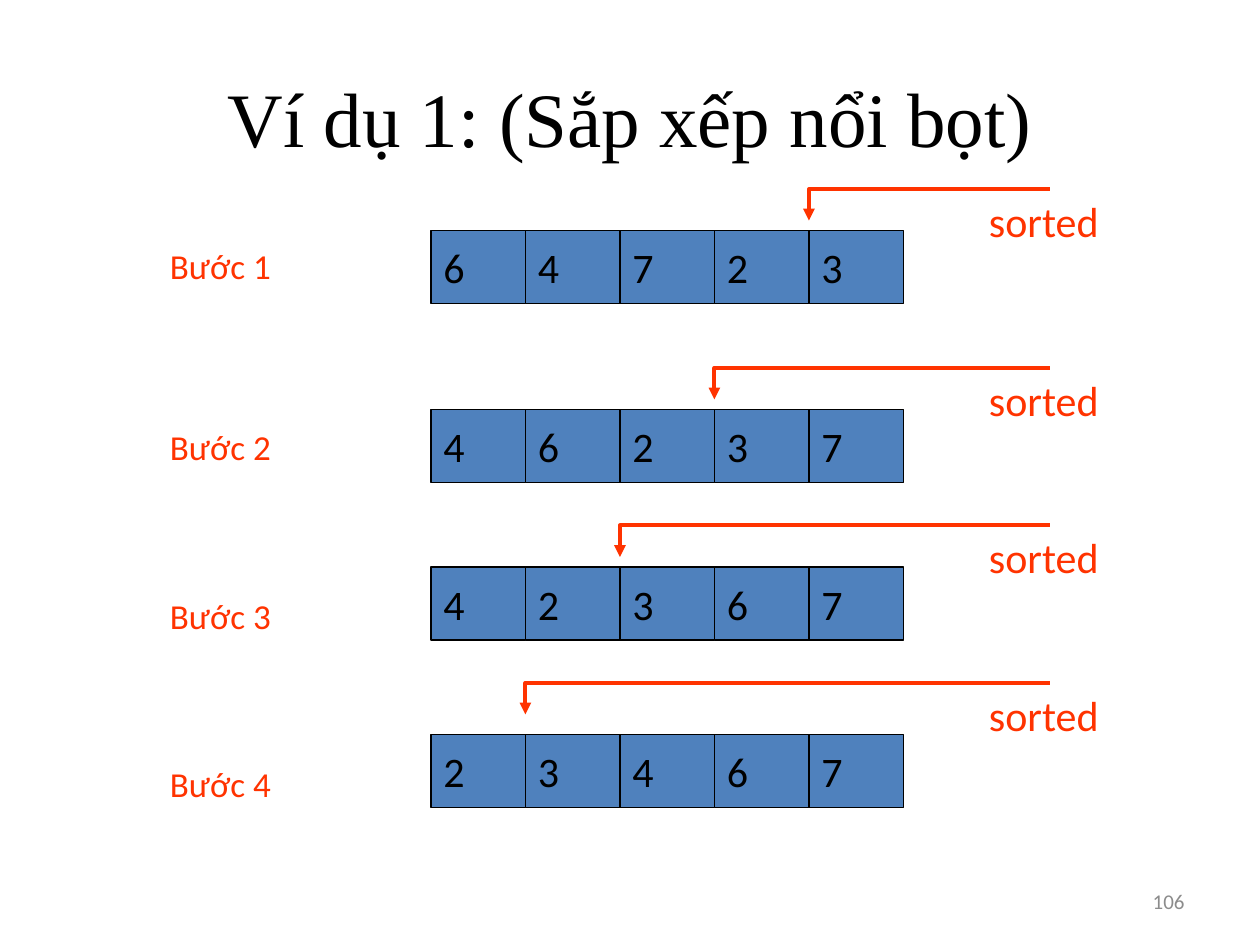
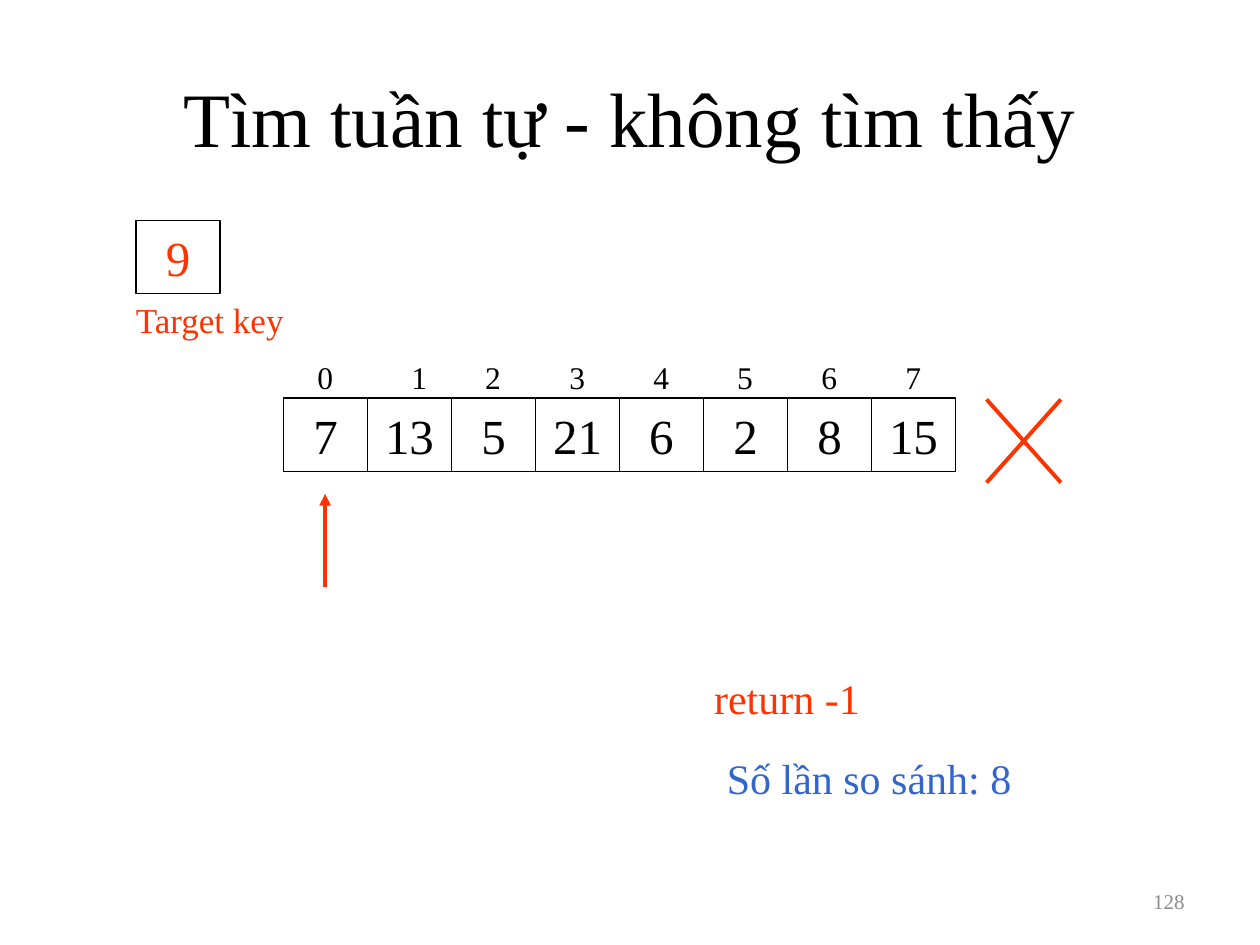
from pptx import Presentation
from pptx.dml.color import RGBColor
from pptx.enum.shapes import MSO_CONNECTOR, MSO_SHAPE
from pptx.enum.text import MSO_ANCHOR, PP_ALIGN
from pptx.oxml.ns import qn
from pptx.util import Inches, Pt
from lxml.etree import SubElement

BLACK = RGBColor(0x00, 0x00, 0x00)
RED = RGBColor(0xFF, 0x33, 0x00)
BLUE = RGBColor(0x33, 0x66, 0xCC)
CELL_BLUE = RGBColor(0x4F, 0x81, 0xBD)
GREY = RGBColor(0x8C, 0x8C, 0x8C)
SANS = "Calibri"
SERIF = "Times New Roman"
CELL_H = 0.58


def write(tf, text, size=24, font=SERIF, color=BLACK, align=PP_ALIGN.LEFT,
          anchor=MSO_ANCHOR.TOP, wrap=False):
    tf.word_wrap = wrap
    tf.vertical_anchor = anchor
    p = tf.paragraphs[0]
    p.alignment = align
    r = p.add_run()
    r.text = text
    r.font.size = Pt(size)
    r.font.name = font
    r.font.color.rgb = color


class Deck:
    def __init__(self):
        self.prs = Presentation()
        self.prs.slide_width, self.prs.slide_height = Inches(10), Inches(7.5)
        self.font = SERIF
        self.s = None

    def slide(self, title, number, font):
        self.font = font
        self.s = self.prs.slides.add_slide(self.prs.slide_layouts[5])
        sp = self.s.shapes.title
        sp.left, sp.top = Inches(0.5), Inches(0.3)
        sp.width, sp.height = Inches(9), Inches(1.25)
        write(sp.text_frame, title, size=44, align=PP_ALIGN.CENTER,
              anchor=MSO_ANCHOR.MIDDLE, wrap=True)
        self.text(str(number), 7.17, 6.95, 2.33, 0.4, size=12, color=GREY,
                  align=PP_ALIGN.RIGHT, anchor=MSO_ANCHOR.MIDDLE, wrap=True)

    def text(self, text, x, y, w, h, **fmt):
        sp = self.s.shapes.add_textbox(Inches(x), Inches(y), Inches(w), Inches(h))
        write(sp.text_frame, text, font=self.font, **fmt)

    def cell(self, text, x, y, w, fill=None, **fmt):
        sp = self.s.shapes.add_shape(MSO_SHAPE.RECTANGLE, Inches(x), Inches(y),
                                     Inches(w), Inches(CELL_H))
        sp.shadow.inherit = False
        if fill is None:
            sp.fill.background()
        else:
            sp.fill.solid()
            sp.fill.fore_color.rgb = fill
        sp.line.color.rgb = BLACK
        sp.line.width = Pt(0.75)
        write(sp.text_frame, str(text), font=self.font,
              anchor=MSO_ANCHOR.MIDDLE, wrap=True, **fmt)

    def row(self, values, x, y, w, **fmt):
        for i, value in enumerate(values):
            self.cell(value, x + i * w, y, w, **fmt)

    def stroke(self, sp, arrow=None):
        sp.line.color.rgb = RED
        sp.line.width = Pt(2.25)
        if arrow:
            ln = sp.line.color and sp.line._get_or_add_ln()
            SubElement(ln, qn(f"a:{arrow}"), type="triangle")

    def line(self, x1, y1, x2, y2, arrow=None):
        cn = self.s.shapes.add_connector(MSO_CONNECTOR.STRAIGHT, Inches(x1),
                                         Inches(y1), Inches(x2), Inches(y2))
        self.stroke(cn, arrow)
        SubElement(cn._element.spPr, qn("a:effectLst"))

    def bent_arrow(self, tip_x, y, end_x):
        fb = self.s.shapes.build_freeform(Inches(tip_x), Inches(y + 0.25))
        fb.add_line_segments([(Inches(tip_x), Inches(y)),
                              (Inches(end_x), Inches(y))], close=False)
        sp = fb.convert_to_shape()
        sp.shadow.inherit = False
        sp.fill.background()
        self.stroke(sp, "headEnd")


def bubble_sort_slide(d):
    d.slide("Ví dụ 1: (Sắp xếp nổi bọt)", 106, SANS)
    left, w = 3.42, 0.75
    # values, label top, row top, marker top
    steps = [([6, 4, 7, 2, 3], 1.89, 1.83, 1.5),
             ([4, 6, 2, 3, 7], 3.33, 3.25, 2.92),
             ([4, 2, 3, 6, 7], 4.67, 4.5, 4.17),
             ([2, 3, 4, 6, 7], 6, 5.83, 5.42)]
    for step, (values, label_y, row_y, marker_y) in enumerate(steps, 1):
        d.row(values, left, row_y, w, fill=CELL_BLUE)
        d.text(f"Bước {step}", 1.25, label_y, 1.12, 0.43, size=20, color=RED)
        # The sorted part grows by one cell per step
        d.text("sorted", 7.75, marker_y, 1.13, 0.5, color=RED)
        d.bent_arrow(left + (len(values) - step) * w, marker_y, 8.33)


def sequential_search_slide(d):
    d.slide("Tìm tuần tự - không tìm thấy", 128, SERIF)
    left, top, w = 2.25, 3.16, 2 / 3
    digits = dict(size=28, align=PP_ALIGN.CENTER)
    # Target key
    d.cell(9, 1.08, 1.75, w, color=RED, **digits)
    d.text("Target key", 0.98, 2.32, 1.38, 0.44, size=20, color=RED)
    # Array with its indices
    values = [7, 13, 5, 21, 6, 2, 8, 15]
    d.row(values, left, top, w, **digits)
    for i in range(len(values)):
        nudge = 0.08 if i == 1 else 0
        d.text(str(i), left + 0.17 + i * w + nudge, 2.79, 0.34, 0.4, size=18)
    # Search position and the cross for "not found"
    d.line(2.58, 4.66, 2.58, 3.92, "tailEnd")
    d.line(8.42, 3.17, 7.83, 3.83)
    d.line(7.83, 3.17, 8.42, 3.83)
    # Result
    d.text("return -1", 5.57, 5.29, 1.37, 0.5, color=RED)
    d.text("Số lần so sánh: 8", 5.67, 5.92, 2.48, 0.5, color=BLUE)


def main():
    d = Deck()
    bubble_sort_slide(d)
    sequential_search_slide(d)
    d.prs.save("out.pptx")


if __name__ == "__main__":
    main()
